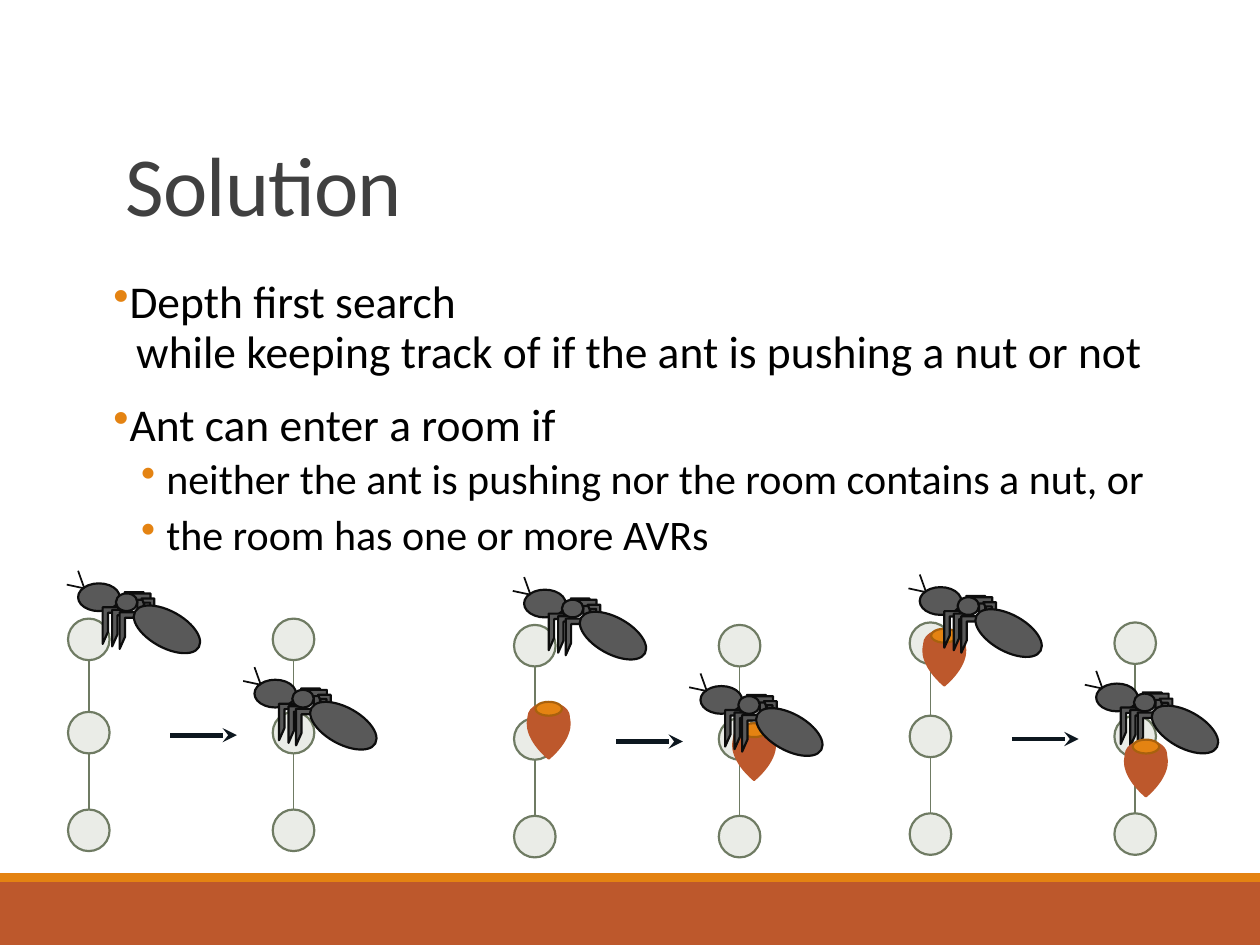
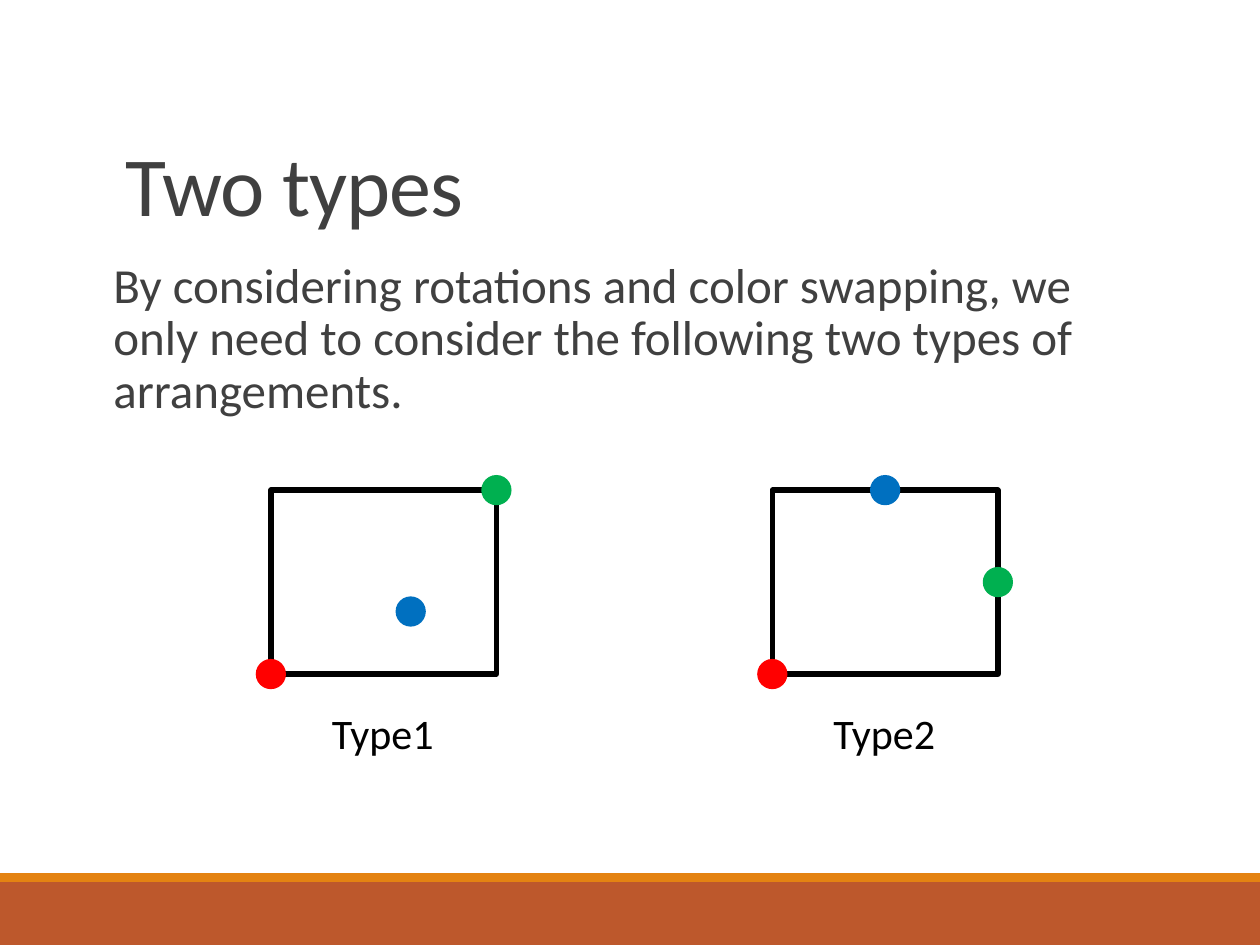
from dataclasses import dataclass

from lxml import etree
from pptx import Presentation
from pptx.dml.color import RGBColor
from pptx.enum.shapes import MSO_CONNECTOR, MSO_SHAPE
from pptx.enum.text import MSO_ANCHOR, MSO_AUTO_SIZE
from pptx.oxml.ns import qn
from pptx.util import Inches, Pt

RECTANGLE = MSO_SHAPE.RECTANGLE
OVAL = MSO_SHAPE.OVAL
HEART = MSO_SHAPE.HEART
LEG = MSO_SHAPE.HALF_FRAME
STRAIGHT = MSO_CONNECTOR.STRAIGHT
BOTTOM = MSO_ANCHOR.BOTTOM
TOP = MSO_ANCHOR.TOP
FIT_SHAPE = MSO_AUTO_SIZE.SHAPE_TO_FIT_TEXT
NO_FIT = MSO_AUTO_SIZE.NONE


@dataclass(frozen=True)
class Theme:
    font: str = "Calibri"
    title_size: int = 48
    body_size: int = 28
    list_size: int = 26
    small_size: int = 24
    heading: str = "404040"
    black: str = "000000"
    rust: str = "BD582C"
    orange: str = "E48312"
    nut_rim: str = "A9610D"
    room: str = "EAECE7"
    room_line: str = "6F7B63"
    ant: str = "595959"
    ant_line: str = "0D0D0D"
    arrow: str = "0D171F"
    red: str = "FF0000"
    blue: str = "0070C0"
    green: str = "00B050"


theme = Theme()
presentation = Presentation()
presentation.slide_width = Inches(10)
presentation.slide_height = Inches(7.5)
COLUMN = presentation.slide_width / 100
ROW = presentation.slide_height / 75


def draw_shape(shapes, kind, box, fill=None, line=None, width=1.25):
    left, top, wide, high = box
    shape = shapes.add_shape(kind, round(left * COLUMN), round(top * ROW),
                             round(wide * COLUMN), round(high * ROW))
    shape.shadow.inherit = False
    if fill:
        shape.fill.solid()
        shape.fill.fore_color.rgb = RGBColor.from_string(fill)
    else:
        shape.fill.background()
    if line:
        shape.line.color.rgb = RGBColor.from_string(line)
        shape.line.width = Pt(width)
    else:
        shape.line.fill.background()
    return shape


def draw_line(shapes, start, end, color, width=1):
    line = shapes.add_connector(STRAIGHT, round(start[0] * COLUMN), round(start[1] * ROW),
                                round(end[0] * COLUMN), round(end[1] * ROW))
    line.line.color.rgb = RGBColor.from_string(color)
    line.line.width = Pt(width)
    etree.SubElement(line._element.spPr, qn("a:effectLst"))
    return line


title_style = {"size": theme.title_size, "color": theme.heading, "spacing": -50,
               "format": {"line_spacing": 0.85}}
body_format = {"line_spacing": 0.9, "space_before": Pt(12), "space_after": Pt(2)}
body_style = {"size": theme.body_size, "color": theme.heading, "format": body_format}
item_style = {"size": theme.list_size, "color": theme.black, "format": body_format,
              "bullet": (0.1, -0.1)}
subitem_style = {"size": theme.small_size, "color": theme.black, "bullet": (0.42, -0.2),
                 "format": {"level": 1, "line_spacing": 0.9,
                            "space_before": Pt(2), "space_after": Pt(4)}}
label_style = {"size": theme.small_size, "color": theme.black, "format": {}}

title_frame = {"word_wrap": True, "auto_size": NO_FIT, "vertical_anchor": BOTTOM}
body_frame = {"word_wrap": True, "auto_size": NO_FIT, "vertical_anchor": TOP,
              "margin_left": 0, "margin_right": 0}
label_frame = {"word_wrap": False, "auto_size": FIT_SHAPE}

TITLE_BOX = (9, 3.1, 82.5, 15.9)
SQUARE_WIDTH, SQUARE_HEIGHT, SQUARE_TOP = 17.9, 14.6, 38.9
SQUARE_LEFTS = (21.5, 61.3)

slide_texts = [
    [
        (TITLE_BOX, title_frame, [("Solution", title_style)]),
        ((9, 21.7, 91.3, 47.5), body_frame, [
            ("Depth first search\v while keeping track of if the ant is pushing a nut or not",
             item_style),
            ("Ant can enter a room if", item_style),
            ("neither the ant is pushing nor the room contains a nut, or", subitem_style),
            ("the room has one or more AVRs", subitem_style),
        ]),
    ],
    [
        (TITLE_BOX, title_frame, [("Two types", title_style)]),
        ((9, 20.2, 82.5, 44), body_frame, [
            ("By considering rotations and color swapping, we only need to consider "
             "the following two types of arrangements.", body_style),
        ]),
    ] + [
        ((left + 3.85, 55.7, 10.2, 5), label_frame, [(f"Type{number}", label_style)])
        for number, left in enumerate(SQUARE_LEFTS, 1)
    ],
]

for texts in slide_texts:
    slide = presentation.slides.add_slide(presentation.slide_layouts[6])
    draw_shape(slide.shapes, RECTANGLE, (0, 70, 100, 5), theme.rust)
    draw_shape(slide.shapes, RECTANGLE, (0, 69.3, 100, 0.7), theme.orange)
    for (left, top, wide, high), frame_format, paragraphs in texts:
        text_box = slide.shapes.add_textbox(round(left * COLUMN), round(top * ROW),
                                            round(wide * COLUMN), round(high * ROW))
        frame = text_box.text_frame
        for name, value in frame_format.items():
            setattr(frame, name, value)
        for index, (text, style) in enumerate(paragraphs):
            paragraph = frame.add_paragraph() if index else frame.paragraphs[0]
            paragraph.text = text
            for name, value in style["format"].items():
                if index or name != "space_before":
                    setattr(paragraph, name, value)
            if "bullet" in style:
                properties = paragraph._p.get_or_add_pPr()
                margin, indent = style["bullet"]
                properties.set("marL", str(Inches(margin)))
                properties.set("indent", str(Inches(indent)))
                bullet_color = etree.SubElement(properties, qn("a:buClr"))
                etree.SubElement(bullet_color, qn("a:srgbClr"), val=theme.orange)
                etree.SubElement(properties, qn("a:buChar"), char="•")
            for run in paragraph.runs:
                run.font.name = theme.font
                run.font.size = Pt(style["size"])
                run.font.color.rgb = RGBColor.from_string(style["color"])
                if "spacing" in style:
                    run._r.get_or_add_rPr().set("spc", str(style["spacing"]))

solution_slide, types_slide = presentation.slides

ROOM_SIZE = 3.3
ROOM_STEPS = (0, 7.4, 15.15)
CHAIN_STEP = 16.25
ANT_OFFSETS = ((0.8, -2.8), (14.8, 4.85))

ant_parts = [
    (OVAL, (0, 0, 3.3, 2.2), 0, False),
    (LEG, (1.95, 1.9, 1.3, 2.9), 0, False),
    (LEG, (2.7, 2.1, 1.3, 2.9), 0, False),
    (LEG, (3.3, 2.3, 1.3, 2.9), 0, False),
    (LEG, (3.7, 0.7, 1.5, 3.1), 0, True),
    (LEG, (4.25, 0.8, 1.5, 3.1), 0, True),
    (LEG, (5.05, 1.2, 1, 2.4), 0, True),
    (OVAL, (3, 0.8, 1.7, 1.4), 0, False),
    (OVAL, (4.15, 2.2, 5.8, 2.9), 29, False),
]
antenna_tips = ((0, -1), (-0.9, 0.1))
nut_parts = [
    (HEART, (0, 0.6, 3.3, 3.9), theme.rust, theme.rust),
    (OVAL, (0.05, 0.1, 3.2, 2.2), theme.rust, theme.rust),
    (OVAL, (0.6, 0, 2.1, 1.1), theme.orange, theme.nut_rim),
]
panels = [
    (5.4, 49.1, [("ant", ANT_OFFSETS[0]), ("ant", ANT_OFFSETS[1])]),
    (40.8, 49.6, [("ant", ANT_OFFSETS[0]), ("nut", (1.1, 6.1)),
                  ("nut", (17.4, 7.8)), ("ant", ANT_OFFSETS[1])]),
    (72.2, 49.4, [("nut", (1.1, 0.5)), ("ant", ANT_OFFSETS[0]),
                  ("ant", ANT_OFFSETS[1]), ("nut", (17.1, 9.3))]),
]

for panel_left, panel_top, actors in panels:
    for chain_left in (panel_left, panel_left + CHAIN_STEP):
        center = chain_left + ROOM_SIZE / 2
        for upper, lower in zip(ROOM_STEPS, ROOM_STEPS[1:]):
            draw_line(solution_slide.shapes, (center, panel_top + upper + ROOM_SIZE),
                      (center, panel_top + lower), theme.room_line)
        for step in ROOM_STEPS:
            draw_shape(solution_slide.shapes, OVAL,
                       (chain_left, panel_top + step, ROOM_SIZE, ROOM_SIZE),
                       theme.room, theme.room_line)
    arrow_y = panel_top + 9.25
    arrow = draw_line(solution_slide.shapes, (panel_left + 8.1, arrow_y),
                      (panel_left + 13.4, arrow_y), theme.arrow, 2.75)
    etree.SubElement(arrow.line._get_or_add_ln(), qn("a:tailEnd"), type="stealth")

    for actor, (across, down) in actors:
        x, y = panel_left + across, panel_top + down
        group = solution_slide.shapes.add_group_shape()
        if actor == "nut":
            for kind, (left, top, wide, high), fill, line in nut_parts:
                draw_shape(group.shapes, kind, (x + left, y + top, wide, high), fill, line)
        else:
            for kind, (left, top, wide, high), rotation, flipped in ant_parts:
                part = draw_shape(group.shapes, kind, (x + left, y + top, wide, high),
                                  theme.ant, theme.ant_line)
                part.rotation = rotation
                if flipped:
                    part._element.spPr.xfrm.set("flipH", "1")
            for tip_x, tip_y in antenna_tips:
                draw_line(group.shapes, (x + 0.5, y + 0.4), (x + tip_x, y + tip_y),
                          theme.ant_line)

DOT_SIZE = 2.4
dot_sets = [
    [(theme.red, 0, 1), (theme.blue, 0.62, 0.66), (theme.green, 1, 0)],
    [(theme.red, 0, 1), (theme.blue, 0.5, 0), (theme.green, 1, 0.5)],
]
for square_left, dots in zip(SQUARE_LEFTS, dot_sets):
    draw_shape(types_slide.shapes, RECTANGLE,
               (square_left, SQUARE_TOP, SQUARE_WIDTH, SQUARE_HEIGHT),
               line=theme.black, width=3)
    for color, share_x, share_y in dots:
        draw_shape(types_slide.shapes, OVAL,
                   (square_left + share_x * SQUARE_WIDTH - DOT_SIZE / 2,
                    SQUARE_TOP + share_y * SQUARE_HEIGHT - DOT_SIZE / 2,
                    DOT_SIZE, DOT_SIZE), color)

presentation.save("out.pptx")
